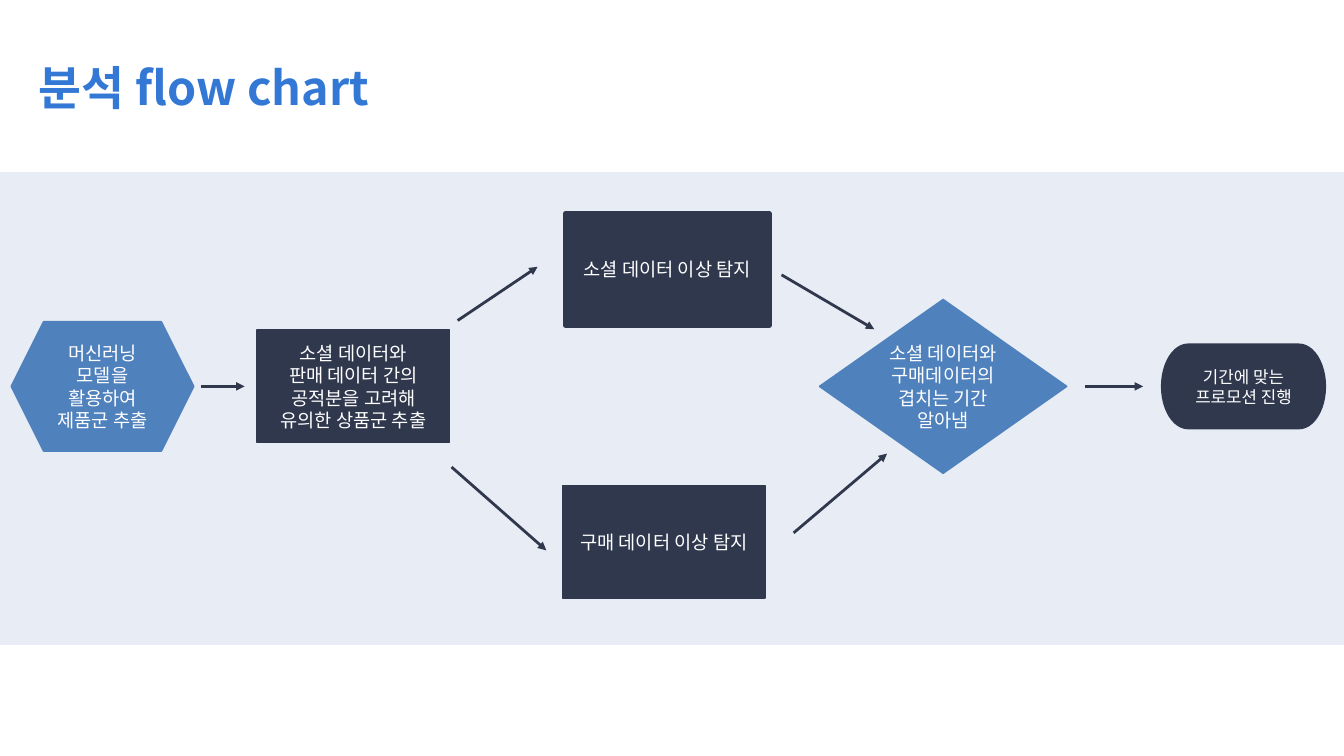
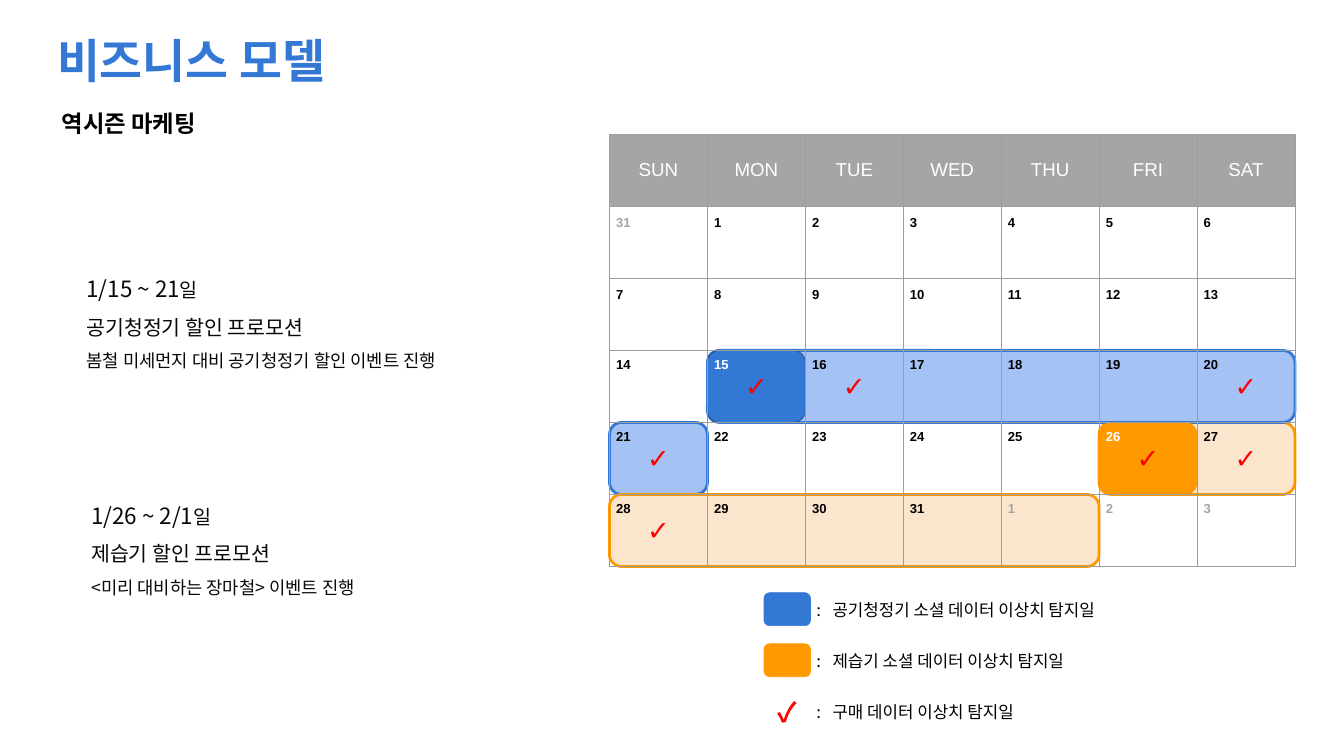
from lxml.etree import SubElement
from pptx import Presentation
from pptx.dml.color import RGBColor
from pptx.enum.shapes import MSO_CONNECTOR, MSO_SHAPE
from pptx.enum.text import MSO_ANCHOR, PP_ALIGN
from pptx.oxml.ns import qn
from pptx.util import Inches, Pt

COLORS = {
    "blue": "3378D5", "pale_blue": "A4C2F4", "steel": "4F81BD", "deep_blue": "1F497D",
    "navy": "30384D", "band": "E8ECF4", "orange": "FF9900", "pale_orange": "FCE5CD",
    "gray": "A5A5A5", "border": "9E9E9E", "red": "FF0000", "ink": "080808",
    "black": "000000", "white": "FFFFFF",
}
RGB = {name: RGBColor.from_string(value) for name, value in COLORS.items()}
KOREAN = "Noto Sans CJK KR"
LATIN = "Arial"

deck = Presentation()
deck.slide_width, deck.slide_height = Inches(20), Inches(11.25)
COLUMN = deck.slide_width / 20
ROW = deck.slide_height / 11.25


def add_box(page, place, kind=None, fill=None, line=None, weight=0.75):
    """Add a preset shape, or a text box when kind is None; place is in columns and rows."""
    left, top, width, height = place
    area = [round(n) for n in (left * COLUMN, top * ROW, width * COLUMN, height * ROW)]
    if kind is None:
        box = page.shapes.add_textbox(*area)
    else:
        box = page.shapes.add_shape(kind, *area)
        box.shadow.inherit = False
        box.fill.solid()
        box.fill.fore_color.rgb = RGB[fill]
        box.line.color.rgb = RGB[line]
        box.line.width = Pt(weight)
    box.text_frame.word_wrap = True
    return box


def write(frame, lines, align=PP_ALIGN.LEFT, font=KOREAN, bold=False, spacing=None, tab=None):
    """Fill a text frame; each line is (text, size, color)."""
    for index, (text, size, color) in enumerate(lines):
        para = frame.paragraphs[0] if index == 0 else frame.add_paragraph()
        para.text = text
        para.alignment = align
        if spacing:
            para.line_spacing = spacing
        properties = para._p.get_or_add_pPr()
        if tab:
            stops = SubElement(properties, qn("a:tabLst"))
            SubElement(stops, qn("a:tab"), pos=str(Inches(tab)), algn="l")
        para.font.size, para.font.bold, para.font.name = Pt(size), bold, font
        para.font.color.rgb = RGB[color]
        SubElement(properties.find(qn("a:defRPr")), qn("a:ea"), typeface=font)


flow_page, business_page = [deck.slides.add_slide(deck.slide_layouts[6]) for _ in range(2)]

# Flow chart: band, steps and arrows
add_box(flow_page, (-0.04, 2.55, 20.08, 7.06), MSO_SHAPE.RECTANGLE, "band", "white")

MIDDLE = 5.75
steps = [
    (MSO_SHAPE.HEXAGON, 0.17, MIDDLE, 2.71, 1.92, "steel", 2, 20,
     ["머신러닝 모델을 활용하여 제품군 추출"]),
    (MSO_SHAPE.RECTANGLE, 3.83, MIDDLE, 2.86, 1.67, "navy", 2, 20,
     ["소셜 데이터와", "판매 데이터 간의 공적분을 고려해 유의한 상품군 추출"]),
    (MSO_SHAPE.RECTANGLE, 8.42, 4.01, 3.02, 1.67, "navy", 6, 20, ["소셜 데이터 이상 탐지"]),
    (MSO_SHAPE.RECTANGLE, 8.37, 8.06, 3.02, 1.67, "navy", 2, 20, ["구매 데이터 이상 탐지"]),
    (MSO_SHAPE.DIAMOND, 12.2, MIDDLE, 3.67, 2.58, "steel", 2, 20,
     ["소셜 데이터와", "구매데이터의 겹치는 기간 알아냄"]),
    (MSO_SHAPE.FLOWCHART_TERMINATOR, 17.29, MIDDLE, 2.43, 1.25, "navy", 2, 18,
     ["기간에 맞는", "프로모션 진행"]),
]
for kind, left, center, width, height, color, weight, size, texts in steps:
    step = add_box(flow_page, (left, center - height / 2, width, height), kind, color, color, weight)
    step.text_frame.vertical_anchor = MSO_ANCHOR.MIDDLE
    write(step.text_frame, [(text, size, "white") for text in texts], PP_ALIGN.CENTER)

arrows = [
    (2.99, MIDDLE, 3.64, MIDDLE), (6.81, 4.77, 8, 3.97), (6.72, 6.95, 8.13, 8.19),
    (11.63, 4.09, 13.01, 4.9), (11.81, 7.93, 13.2, 6.75), (16.15, MIDDLE, 17.01, MIDDLE),
]
for start_x, start_y, end_x, end_y in arrows:
    arrow = flow_page.shapes.add_connector(
        MSO_CONNECTOR.STRAIGHT, round(start_x * COLUMN), round(start_y * ROW),
        round(end_x * COLUMN), round(end_y * ROW))
    arrow.line.color.rgb = RGB["navy"]
    arrow.line.width = Pt(3)
    SubElement(arrow.line._get_or_add_ln(), qn("a:tailEnd"), type="triangle")
    SubElement(arrow._element.spPr, qn("a:effectLst"))

# Titles
for page, left, top, title in [(flow_page, 0.48, 0.83, "분석 flow chart"),
                               (business_page, 0.75, 0.42, "비즈니스 모델")]:
    box = add_box(page, (left, top, 10.55, 1.2))
    write(box.text_frame, [(title, 50, "blue")], PP_ALIGN.JUSTIFY, bold=True)

subtitle = add_box(business_page, (0.82, 1.57, 9.64, 0.49))
write(subtitle.text_frame, [("역시즌 마케팅", 25, "black")], bold=True)

# Promotion periods, drawn behind the calendar: week row, weekday, days, fill, line, weight
CALENDAR_LEFT, CALENDAR_TOP, DAY_WIDTH, DAY_HEIGHT = 9.07, 2, 10.2 / 7, 6.43 / 6
periods = [
    (4, 0, 1, "pale_blue", "blue", 3),
    (5, 0, 5, "pale_orange", "orange", 3),
    (4, 5, 2, "pale_orange", "orange", 3),
    (3, 1, 6, "pale_blue", "blue", 3),
    (3, 1, 1, "blue", "deep_blue", 0.75),
    (4, 5, 1, "orange", "orange", 0.75),
]
for week, weekday, days, fill, line, weight in periods:
    place = (CALENDAR_LEFT + weekday * DAY_WIDTH, CALENDAR_TOP + week * DAY_HEIGHT,
             days * DAY_WIDTH, DAY_HEIGHT)
    add_box(business_page, place, MSO_SHAPE.FLOWCHART_ALTERNATE_PROCESS, fill, line, weight)

# Promotions
promotions = [
    (1.19, 3.8, "1/15 ~ 21", "공기청정기 할인 프로모션", "봄철 미세먼지 대비 공기청정기 할인 이벤트 진행"),
    (1.26, 7.17, "1/26 ~ 2/1", "제습기 할인 프로모션", "<미리 대비하는 장마철> 이벤트 진행"),
]
for left, top, dates, name, detail in promotions:
    frame = add_box(business_page, (left, top, 6.34, 2.13)).text_frame
    frame.margin_top = frame.margin_bottom = Inches(0.1)
    write(frame, [(dates, 24, "ink"), (name, 22, "ink"), (detail, 19, "ink")], spacing=1.5)
    span = frame.paragraphs[0].add_run()
    span.text = "일"
    span.font.size = Pt(21)

# Legend
legend = [("blue", "공기청정기 소셜 데이터 이상치 탐지일"),
          ("orange", "제습기 소셜 데이터 이상치 탐지일"),
          (None, "구매 데이터 이상치 탐지일")]
for index, (color, meaning) in enumerate(legend):
    top = 8.82 + 0.76 * index
    place = (11.37, top, 0.69, 0.49)
    if color:
        add_box(business_page, place, MSO_SHAPE.FLOWCHART_ALTERNATE_PROCESS, color, color)
    else:
        mark = add_box(business_page, place).text_frame
        mark.vertical_anchor = MSO_ANCHOR.MIDDLE
        write(mark, [("✓", 29, "red")], PP_ALIGN.CENTER, bold=True)
    label = add_box(business_page, (12.05, top, 4.91, 0.5)).text_frame
    label.margin_top = label.margin_bottom = Inches(0.1)
    write(label, [(":\t" + meaning, 18, "black")], tab=0.24)

# Calendar; a day's position equals its January date
table = business_page.shapes.add_table(
    6, 7, round(CALENDAR_LEFT * COLUMN), round(CALENDAR_TOP * ROW),
    round(7 * DAY_WIDTH * COLUMN), round(6 * DAY_HEIGHT * ROW)).table
table.first_row = table.horz_banding = False
weekdays = ["SUN", "MON", "TUE", "WED", "THU", "FRI", "SAT"]
dates = [31, *range(1, 32), 1, 2, 3]
purchase_days = {15, 16, 20, 21, 26, 27, 28}
social_days = {15, 26}
for index, cell in enumerate(table.iter_cells()):
    cell.margin_left = cell.margin_right = cell.margin_top = cell.margin_bottom = Inches(0.1)
    if index < 7:
        cell.vertical_anchor = MSO_ANCHOR.MIDDLE
        write(cell.text_frame, [(weekdays[index], 20, "white")], PP_ALIGN.CENTER, LATIN)
    else:
        day = index - 7
        color = "white" if day in social_days else "black" if 1 <= day <= 31 else "gray"
        lines = [(str(dates[day]), 14, color)]
        if day in purchase_days:
            lines.append(("✓", 29, "red"))
        write(cell.text_frame, lines, font=LATIN, bold=True, spacing=1.15 if day < 14 else None)
        if day in purchase_days:
            cell.text_frame.paragraphs[1].alignment = PP_ALIGN.CENTER
    properties = cell._tc.get_or_add_tcPr()
    for side in ("a:lnL", "a:lnR", "a:lnT", "a:lnB"):
        border = SubElement(properties, qn(side), w=str(Pt(0.75)))
        SubElement(SubElement(border, qn("a:solidFill")), qn("a:srgbClr"), val=COLORS["border"])
    if index < 7:
        cell.fill.solid()
        cell.fill.fore_color.rgb = RGB["gray"]
    else:
        cell.fill.background()

deck.save("out.pptx")
